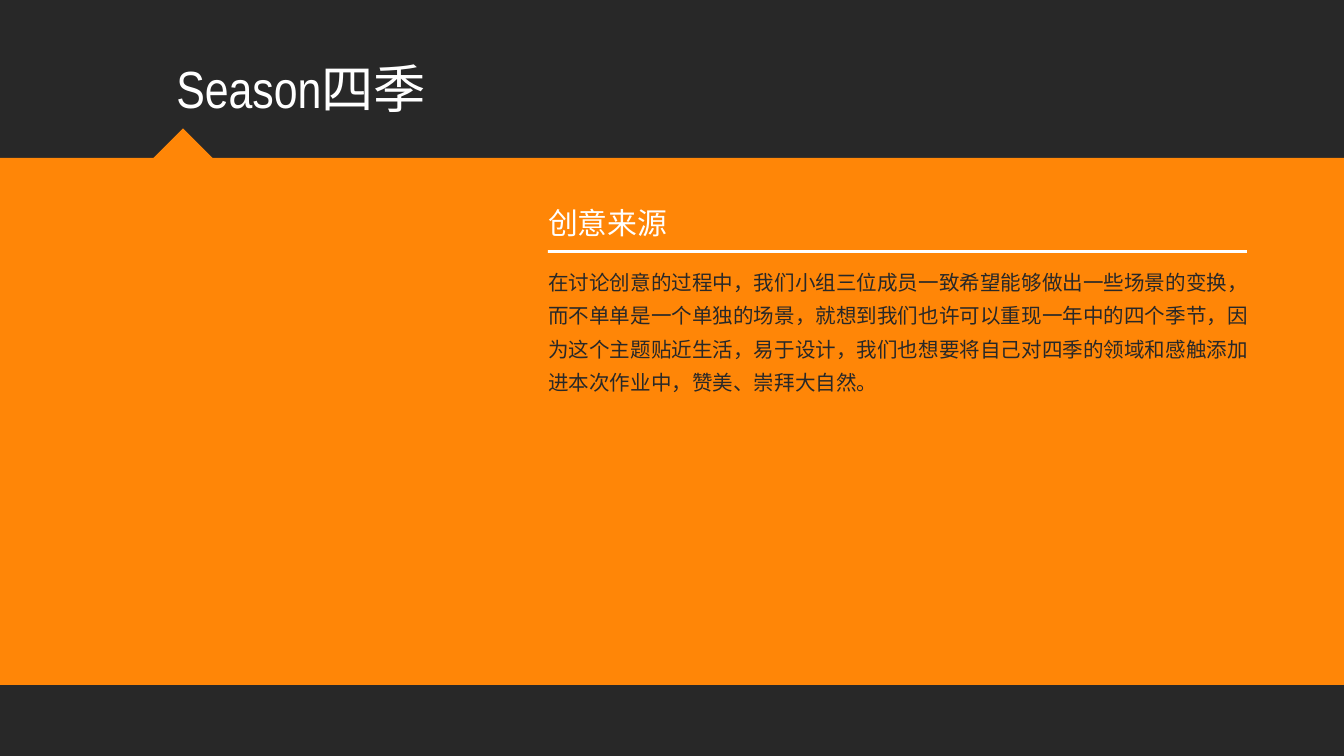
"""Build the Season slide: a dark page, an orange band and a short text."""
from lxml.etree import SubElement
from pptx import Presentation
from pptx.dml.color import RGBColor
from pptx.enum.shapes import MSO_SHAPE
from pptx.oxml.ns import qn
from pptx.util import Pt

PX = 914400 / 134.4
SIZE = (1344, 756)
HUE = {"dark": "282828", "orange": "FF8607", "white": "FFFFFF"}
HAN = "Noto Sans CJK SC"

SHAPES = [
    (MSO_SHAPE.RECTANGLE, (0, 0, *SIZE), 0, "dark"),
    (MSO_SHAPE.RECTANGLE, (0, 158, 1344, 527), 0, "orange"),
    (MSO_SHAPE.RIGHT_TRIANGLE, (162, 137, 42, 42), 135, "orange"),
    (MSO_SHAPE.RECTANGLE, (548, 250, 699, 3), 0, "white"),
]
STORY = (
    "在讨论创意的过程中，我们小组三位成员一致希望能够做出一些场景的变换，"
    "而不单单是一个单独的场景，就想到我们也许可以重现一年中的四个季节，"
    "因为这个主题贴近生活，易于设计，我们也想要将自己对四季的领域和感触"
    "添加进本次作业中，赞美、崇拜大自然。"
)
TEXTS = [
    ("Season四季", (163, 50, 293, 77), "Arial Narrow", 28, "white", False, None),
    ("创意来源", (535, 198, 751, 50), HAN, 16, "white", True, None),
    (STORY, (535, 254, 734, 149), HAN, 11, "dark", True, 18),
]


def scale(box):
    return [round(n * PX) for n in box]


def color(name):
    return RGBColor.from_string(HUE[name])


def add_shape(slide, kind, box, turn, hue):
    shape = slide.shapes.add_shape(kind, *scale(box))
    shape.rotation = turn
    shape.shadow.inherit = False
    shape.fill.solid()
    shape.fill.fore_color.rgb = color(hue)
    shape.line.fill.background()


def add_text(slide, text, box, face, size, hue, wrap, pitch):
    frame = slide.shapes.add_textbox(*scale(box)).text_frame
    frame.word_wrap = wrap
    frame.text = text
    para = frame.paragraphs[0]
    if pitch:
        para.line_spacing = Pt(pitch)
    font = para.runs[0].font
    font.name = face
    font.size = Pt(size)
    font.color.rgb = color(hue)
    SubElement(para.runs[0]._r.rPr, qn("a:ea"), typeface=HAN)


def main():
    deck = Presentation()
    deck.slide_width, deck.slide_height = scale(SIZE)
    slide = deck.slides.add_slide(deck.slide_layouts[6])
    for item in SHAPES:
        add_shape(slide, *item)
    for item in TEXTS:
        add_text(slide, *item)
    deck.save("out.pptx")


if __name__ == "__main__":
    main()
